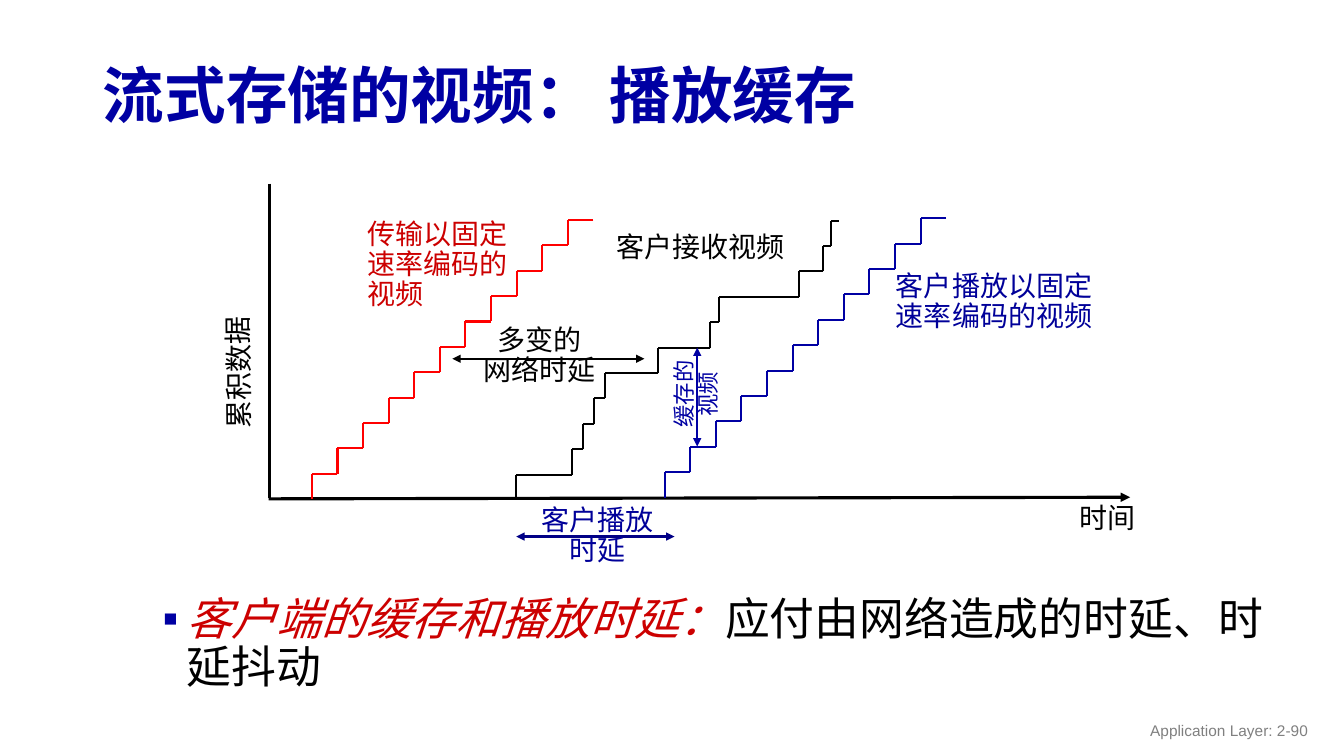
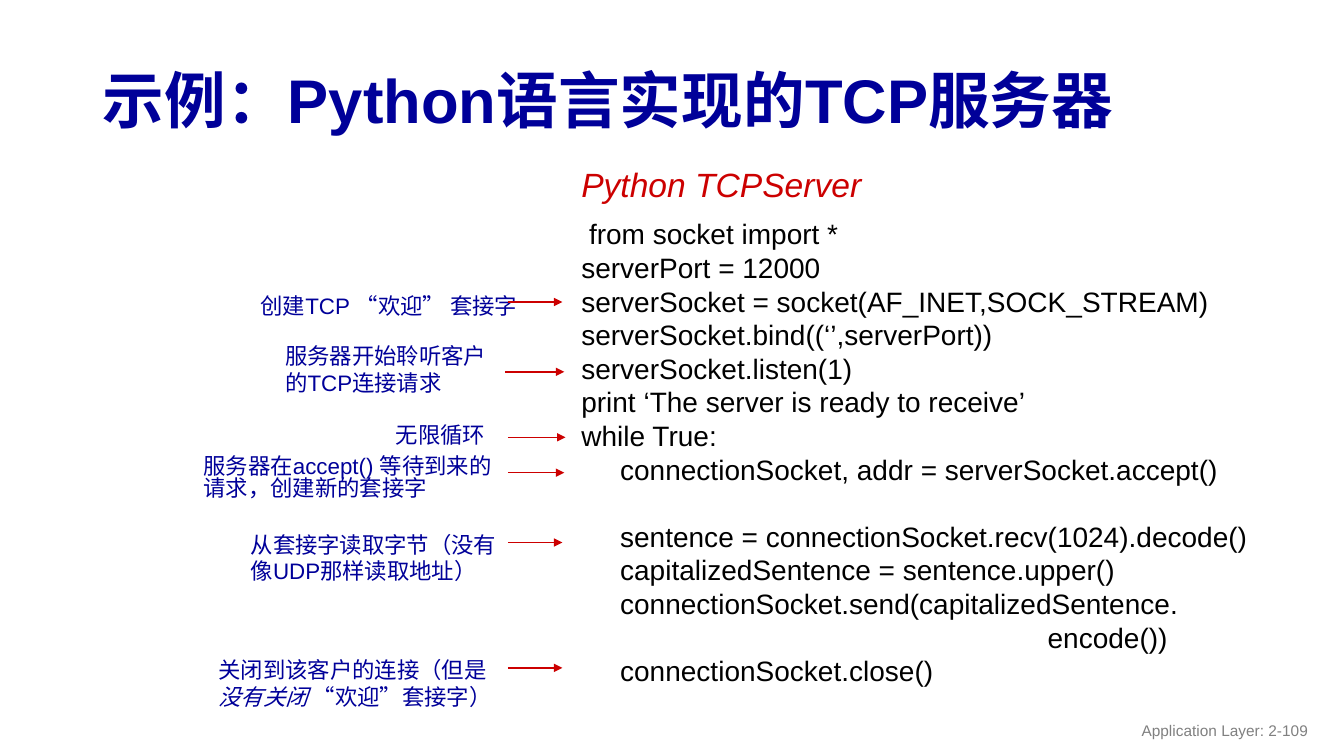
from itertools import accumulate, repeat

from lxml.etree import SubElement
from pptx import Presentation
from pptx.dml.color import RGBColor
from pptx.enum.shapes import MSO_CONNECTOR
from pptx.enum.text import MSO_ANCHOR, MSO_AUTO_SIZE, PP_ALIGN
from pptx.oxml.ns import qn
from pptx.util import Cm, Pt

# Shared style
FONT = "Arial"
BLACK = RGBColor(0x00, 0x00, 0x00)
GREY = RGBColor(0x80, 0x80, 0x80)
RED = RGBColor(0xCC, 0x00, 0x00)
BRIGHT_RED = RGBColor(0xFF, 0x00, 0x00)
BLUE = RGBColor(0x00, 0x00, 0xA3)
NAVY = RGBColor(0x00, 0x00, 0x99)
DARK_NAVY = RGBColor(0x01, 0x00, 0x86)
LEFT, CENTER, RIGHT = PP_ALIGN.LEFT, PP_ALIGN.CENTER, PP_ALIGN.RIGHT
TIGHT = 0.9

# Video slide; all positions in cm
RISE = 0.64
EVEN_STEPS = list(repeat(0.645, 11))
CLIENT_STEPS = [1.41, 0.28, 0.28, 0.27, 1.34, 1.31, 0.23, 2.01, 0.61, 0.19, 0.2]
STAIRCASES = [  # start x, start y, tread widths, colour
    (7.86, 12.58, EVEN_STEPS, BRIGHT_RED),
    (13.01, 12.6, CLIENT_STEPS, BLACK),
    (16.75, 12.54, EVEN_STEPS, BLUE),
]
AXES = [  # from x, y, to x, y, arrow ends
    ((6.79, 4.63, 6.79, 12.55), ()),
    ((28.48, 12.53, 6.77, 12.57), ("head",)),
]
SPANS = [
    ((11.4, 9.04, 16.24, 9.04), BLACK),
    ((13.01, 13.52, 17.0, 13.52), DARK_NAVY),
    ((17.57, 11.25, 17.57, 8.76), BLUE),
]
LABELS = [  # lines, box, colour, further options
    (["传输以固定速率编码的视频"], (9.02, 5.42, 4.29, 2.57), RED, {}),
    (["累积数据"], (3.32, 7.82, 5.44, 1.02), BLACK, {"rotation": 269.4}),
    (["时间"], (26.96, 12.58, 1.93, 1.02), BLACK, {"wrap": False}),
    (["多变的", "网络时延"], (11.92, 8.1, 3.35, 1.8), BLACK,
     {"align": CENTER, "wrap": False}),
    (["客户接收视频"], (15.22, 5.75, 4.8, 1.02), BLACK,
     {"align": RIGHT, "wrap": False}),
    (["客户播放以固定速率编码的视频"], (22.33, 6.74, 5.99, 1.8), NAVY, {}),
    (["客户播放", "时延"], (12.73, 12.63, 4.67, 1.8), NAVY, {"align": CENTER}),
    (["缓存的", "视频"], (16.46, 9.18, 2.24, 1.5), BLUE,
     {"align": CENTER, "wrap": False, "size": 16, "rotation": 270}),
]
SUMMARY = ("客户端的缓存和播放时延：", "应付由网络造成的时延、时延抖动")

# Server slide
CODE = [
    " from socket import *",
    "serverPort = 12000",
    "serverSocket = socket(AF_INET,SOCK_STREAM)",
    "serverSocket.bind((‘’,serverPort))",
    "serverSocket.listen(1)",
    "print ‘The server is ready to receive’",
    "while True:",
    "     connectionSocket, addr = serverSocket.accept()",
    "     ",
    "     sentence = connectionSocket.recv(1024).decode()",
    "     capitalizedSentence = sentence.upper()",
    "     connectionSocket.send(capitalizedSentence.",
    "                                                            encode())",
    "     connectionSocket.close()",
]
NOTES = [  # text runs, box, line spacing, arrow from x, to x, y
    (["创建TCP “欢迎” 套接字"], (6.32, 7.24, 7.2, 0.94), 1.0, (12.8, 14.17, 7.61)),
    (["服务器开始聆听客户的TCP连接请求"], (6.94, 8.5, 5.87, 1.63), 1.0,
     (12.73, 14.22, 9.37)),
    (["无限循环"], (9.73, 10.61, 4.7, 0.84), Pt(16), (12.8, 14.25, 11.02)),
    (["服务器在accept() 等待到来的请求，创建新的套接字"],
     (4.88, 11.38, 7.8, 1.4), Pt(16), (12.8, 14.22, 11.91)),
    (["从套接字读取字节（没有像UDP那样读取地址）"],
     (6.07, 13.25, 6.99, 1.63), 1.0, (12.8, 14.17, 13.67)),
    (["关闭到该客户的连接（但是", "没有关闭 ", "“欢迎”套接字）"],
     (5.26, 16.4, 7.8, 1.63), 1.0, (12.8, 14.17, 16.83)),
]


def cm(values):
    return [Cm(value) for value in values]


def style(paragraph, size, color, align=LEFT, spacing=1.0, bold=False, italic=False):
    paragraph.alignment = align
    paragraph.line_spacing = spacing
    font = paragraph.font
    font.name, font.size = FONT, Pt(size)
    font.bold, font.italic = bold, italic
    font.color.rgb = color


def add_text(slide, lines, box, color, size=20, wrap=True, rotation=0, **look):
    """Add a text box; each line is a string or a list of runs."""
    label = slide.shapes.add_textbox(*cm(box))
    label.rotation = rotation
    frame = label.text_frame
    frame.word_wrap = wrap
    frame.auto_size = MSO_AUTO_SIZE.SHAPE_TO_FIT_TEXT
    for index, line in enumerate(lines):
        paragraph = frame.add_paragraph() if index else frame.paragraphs[0]
        for text in [line] if isinstance(line, str) else line:
            paragraph.add_run().text = text
        style(paragraph, size, color, **look)
    return frame


def add_line(slide, ends, color, width, arrows=()):
    line = slide.shapes.add_connector(MSO_CONNECTOR.STRAIGHT, *cm(ends))
    line.line.color.rgb = color
    line.line.width = Pt(width)
    properties = line.element.spPr
    for end in arrows:
        SubElement(properties.find(qn("a:ln")), qn(f"a:{end}End"), type="triangle")
    SubElement(properties, qn("a:effectLst"))


def add_staircase(slide, x, y, treads, color):
    edges = list(accumulate(treads, initial=x))
    for number, (left, right) in enumerate(zip(edges, edges[1:])):
        bottom = y - number * RISE
        top = bottom - RISE
        add_line(slide, (left, top, left, bottom), color, 1.5)
        add_line(slide, (right, top, left, top), color, 1.5)


def start_slide(deck, heading, number, color, spacing):
    slide = deck.slides.add_slide(deck.slide_layouts[5])
    title = slide.shapes.title
    title.left, title.top, title.width, title.height = cm((2.34, 1.25, 29.21, 2.49))
    frame = title.text_frame
    frame.text = heading
    frame.vertical_anchor = MSO_ANCHOR.MIDDLE
    frame.auto_size = MSO_AUTO_SIZE.NONE
    style(frame.paragraphs[0], 44, color, spacing=spacing, bold=True)
    # Footer
    footer = add_text(slide, [f"Application Layer: {number}"],
                      (25.6, 17.9, 7.62, 1.02), GREY, size=11, align=RIGHT)
    footer.auto_size = MSO_AUTO_SIZE.NONE
    footer.vertical_anchor = MSO_ANCHOR.MIDDLE
    return slide


def add_summary(slide):
    frame = slide.shapes.add_textbox(*cm((3.47, 14.91, 29.21, 2.46))).text_frame
    frame.word_wrap = True
    paragraph = frame.paragraphs[0]
    properties = paragraph._p.get_or_add_pPr()
    properties.set("marL", str(Cm(0.99)))
    properties.set("indent", str(-Cm(0.61)))
    bullet_color = SubElement(properties, qn("a:buClr"))
    SubElement(bullet_color, qn("a:srgbClr"), val=str(BLUE))
    SubElement(properties, qn("a:buFont"), typeface=FONT)
    SubElement(properties, qn("a:buChar"), char="▪")
    style(paragraph, 32, BLACK, spacing=TIGHT)
    term, explanation = (paragraph.add_run() for _ in SUMMARY)
    term.text, explanation.text = SUMMARY
    term.font.italic = True
    term.font.color.rgb = RED


def build_video_slide(deck):
    slide = start_slide(deck, "流式存储的视频： 播放缓存", "2-90", BLUE, TIGHT)
    for ends, arrows in AXES:
        add_line(slide, ends, BLACK, 2.25, arrows)
    for staircase in STAIRCASES:
        add_staircase(slide, *staircase)
    for ends, color in SPANS:
        add_line(slide, ends, color, 1.5, ("head", "tail"))
    for lines, box, color, options in LABELS:
        add_text(slide, lines, box, color, spacing=TIGHT, **options)
    add_summary(slide)


def build_server_slide(deck):
    slide = start_slide(deck, "示例：Python语言实现的TCP服务器", "2-109", NAVY, 1.0)
    add_text(slide, CODE, (14.4, 5.34, 17.42, 12.22), BLACK, wrap=False)
    add_text(slide, ["Python TCPServer"], (14.4, 4.0, 7.85, 1.3), RED,
             size=24, wrap=False, italic=True)
    for runs, box, spacing, (start, end, y) in NOTES:
        note = add_text(slide, [runs], box, NAVY, size=16, spacing=spacing)
        for emphasis in note.paragraphs[0].runs[1:2]:
            emphasis.font.italic = True
        add_line(slide, (start, y, end, y), RED, 1, ("tail",))


def main():
    deck = Presentation()
    deck.slide_width, deck.slide_height = Cm(33.87), Cm(19.05)
    build_video_slide(deck)
    build_server_slide(deck)
    deck.save("out.pptx")


if __name__ == "__main__":
    main()
